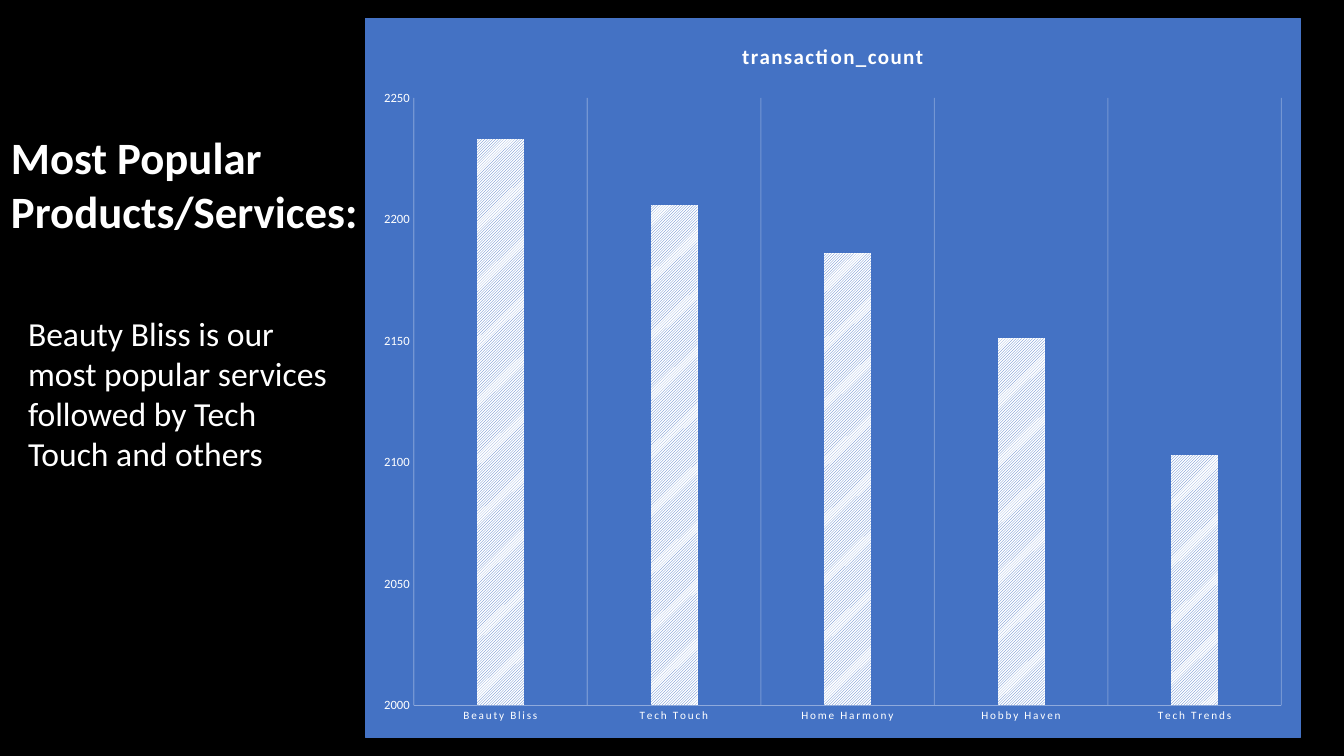
from dataclasses import dataclass

from lxml.etree import SubElement
from pptx import Presentation
from pptx.chart.data import CategoryChartData
from pptx.dml.color import RGBColor
from pptx.enum.chart import XL_CHART_TYPE, XL_TICK_MARK
from pptx.enum.dml import MSO_PATTERN
from pptx.enum.text import MSO_AUTO_SIZE
from pptx.oxml import parse_xml
from pptx.oxml.ns import nsdecls, qn
from pptx.util import Inches, Pt


@dataclass(frozen=True)
class Theme:
    font: str = "Calibri"
    background: str = "000000"
    text: str = "FFFFFF"
    panel: str = "4472C4"
    axis_line: str = "8FAADC"
    heading_size: int = 32
    body_size: int = 24
    chart_title_size: int = 15
    value_size: int = 9
    category_size: int = 8


theme = Theme()


def style_font(font, size, bold=False):
    font.name = theme.font
    font.size = Pt(size)
    font.bold = bold
    font.color.rgb = RGBColor.from_string(theme.text)


presentation = Presentation()
presentation.slide_width = Inches(13.33)
presentation.slide_height = Inches(7.5)
slide = presentation.slides.add_slide(presentation.slide_layouts[6])
slide.background.fill.solid()
slide.background.fill.fore_color.rgb = RGBColor.from_string(theme.background)

# Heading and takeaway on the left
texts = [
    ("Most Popular Products/Services:", (0.01, 1.24, 3.68, 1.18), theme.heading_size, True),
    ("Beauty Bliss is our most popular services followed by Tech Touch and others",
     (0.18, 3.05, 3.33, 1.72), theme.body_size, False),
]
for text, box, size, bold in texts:
    text_frame = slide.shapes.add_textbox(*map(Inches, box)).text_frame
    text_frame.word_wrap = True
    text_frame.auto_size = MSO_AUTO_SIZE.SHAPE_TO_FIT_TEXT
    text_frame.text = text
    style_font(text_frame.paragraphs[0].runs[0].font, size, bold)

# Column chart of transactions
transactions = {
    "Beauty Bliss": 2233,
    "Tech Touch": 2206,
    "Home Harmony": 2186,
    "Hobby Haven": 2151,
    "Tech Trends": 2103,
}
chart_data = CategoryChartData()
chart_data.categories = list(transactions)
chart_data.add_series("transaction_count", list(transactions.values()))
chart = slide.shapes.add_chart(
    XL_CHART_TYPE.COLUMN_CLUSTERED,
    Inches(3.62), Inches(0.18), Inches(9.28), Inches(7.14), chart_data,
).chart
chart.has_legend = False
chart.font.name = theme.font
chart.font.size = Pt(10)

# Blue chart panel
chart_space = chart.element
chart_space.find(qn("c:chart")).addnext(parse_xml(
    f'<c:spPr {nsdecls("c", "a")}>'
    f'<a:solidFill><a:srgbClr val="{theme.panel}"/></a:solidFill>'
    f'<a:ln w="9525"><a:solidFill><a:srgbClr val="{theme.panel}"/></a:solidFill></a:ln>'
    '</c:spPr>'
))

# Chart title with open letter spacing
chart.has_title = True
chart.chart_title.include_in_layout = False
title_frame = chart.chart_title.text_frame
title_frame.text = "transaction_count"
title_font = title_frame.paragraphs[0].runs[0].font
style_font(title_font, theme.chart_title_size, True)
title_frame.paragraphs[0].runs[0]._r.get_or_add_rPr().set("spc", "100")

# Hatched columns
plot = chart.plots[0]
plot.gap_width = 269
plot.overlap = -20
plot.vary_by_categories = False
column_fill = plot.series[0].format.fill
column_fill.patterned()
column_fill.pattern = MSO_PATTERN.LIGHT_UPWARD_DIAGONAL
column_fill.fore_color.rgb = RGBColor.from_string(theme.panel)
column_fill.back_color.rgb = RGBColor.from_string(theme.text)

# Axes
category_axis, value_axis = chart.category_axis, chart.value_axis
for axis, size in ((category_axis, theme.category_size), (value_axis, theme.value_size)):
    axis.major_tick_mark = XL_TICK_MARK.NONE
    axis.minor_tick_mark = XL_TICK_MARK.NONE
    style_font(axis.tick_labels.font, size)

value_axis.minimum_scale = 2000
value_axis.maximum_scale = 2250
value_axis.major_unit = 50
value_axis.has_major_gridlines = False
value_axis.format.line.fill.background()

category_axis.format.line.width = Pt(0.25)
category_axis.format.line.color.rgb = RGBColor.from_string(theme.axis_line)
category_properties = category_axis._element.find(qn("c:txPr"))
category_properties.find(".//" + qn("a:defRPr")).set("spc", "120")

# Translucent vertical gridlines
category_axis.has_major_gridlines = True
grid_line = category_axis.major_gridlines.format.line
grid_line.width = Pt(0.75)
grid_line.color.rgb = RGBColor.from_string(theme.text)
grid_color = category_axis._element.find(qn("c:majorGridlines")).find(".//" + qn("a:srgbClr"))
SubElement(grid_color, qn("a:alpha")).set("val", "25000")

presentation.save("out.pptx")
